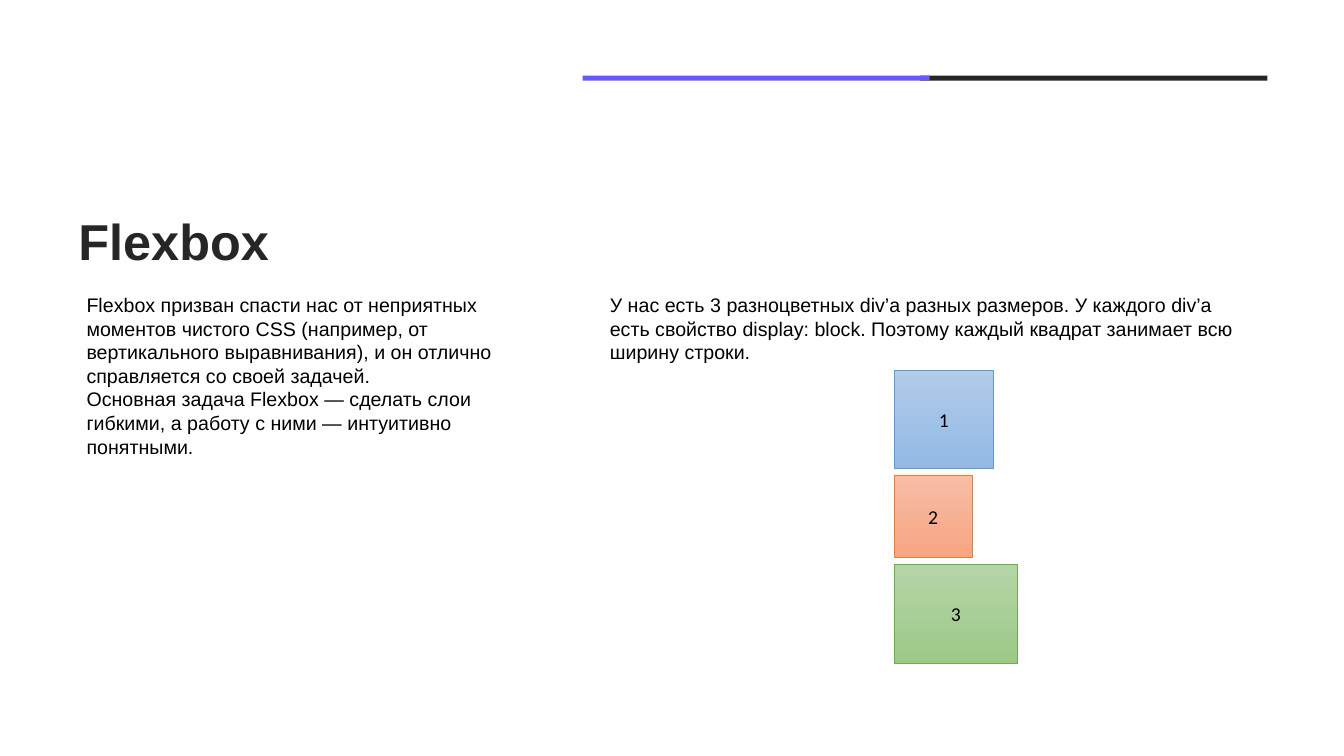
from pptx import Presentation
from pptx.dml.color import RGBColor
from pptx.enum.shapes import MSO_SHAPE
from pptx.enum.text import MSO_ANCHOR, PP_ALIGN
from pptx.util import Inches, Pt

INK = "262626"
VIOLET = "6759FE"
LEFT_TEXT = [
    "Flexbox призван спасти нас от неприятных моментов чистого CSS (например, "
    "от вертикального выравнивания), и он отлично справляется со своей задачей.",
    "Основная задача Flexbox — сделать слои гибкими, а работу с ними — "
    "интуитивно понятными.",
]
RIGHT_TEXT = [
    "У нас есть 3 разноцветных div’а разных размеров. У каждого div’а есть "
    "свойство display: block. Поэтому каждый квадрат занимает всю ширину строки.",
]
# Label, width, height, top colour, bottom colour, outline
SQUARES = [
    ("1", 0.98, 0.98, "B1CBE9", "93B9E4", "5B9BD5"),
    ("2", 0.77, 0.81, "F7BDA5", "F8A582", "ED7D31"),
    ("3", 1.22, 0.98, "B5D5A7", "9CC987", "70AD47"),
]


def color(value):
    return RGBColor.from_string(value)


def write(para, text, font="Arial", size=14, ink="000000", bold=False,
          align=PP_ALIGN.LEFT, spacing=1.0):
    para.alignment = align
    para.line_spacing = spacing
    span = para.add_run()
    span.text = text
    span.font.name = font
    span.font.size = Pt(size)
    span.font.bold = bold
    span.font.color.rgb = color(ink)


class Page:
    def __init__(self, deck):
        self.shapes = deck.slides.add_slide(deck.slide_layouts[6]).shapes

    def text(self, left, top, width, height, lines, anchor=MSO_ANCHOR.TOP, **style):
        box = self.shapes.add_textbox(
            Inches(left), Inches(top), Inches(width), Inches(height))
        frame = box.text_frame
        frame.word_wrap = True
        frame.vertical_anchor = anchor
        for index, line in enumerate(lines):
            para = frame.add_paragraph() if index else frame.paragraphs[0]
            write(para, line, **style)

    def rectangle(self, left, top, width, height):
        box = self.shapes.add_shape(
            MSO_SHAPE.RECTANGLE,
            Inches(left), Inches(top), Inches(width), Inches(height))
        box.shadow.inherit = False
        return box

    def bar(self, left, fill):
        box = self.rectangle(left, 0.75, 3.44, 0.05)
        box.fill.solid()
        box.fill.fore_color.rgb = color(fill)
        box.line.fill.background()

    def square(self, left, top, width, height, label, light, dark, outline):
        box = self.rectangle(left, top, width, height)
        box.fill.gradient()
        box.fill.gradient_angle = 270
        for stop, shade in zip(box.fill.gradient_stops, (light, dark)):
            stop.color.rgb = color(shade)
        box.line.color.rgb = color(outline)
        box.line.width = Pt(0.5)
        box.text_frame.vertical_anchor = MSO_ANCHOR.MIDDLE
        write(box.text_frame.paragraphs[0], label, font="Calibri",
              align=PP_ALIGN.CENTER)


def main():
    deck = Presentation()
    deck.slide_width = Inches(13.33)
    deck.slide_height = Inches(7.5)
    page = Page(deck)

    # Title and two-colour rule
    page.text(0.68, 2.07, 11.89, 0.71, ["Flexbox"], anchor=MSO_ANCHOR.MIDDLE,
              size=36, ink=INK, bold=True, spacing=0.9)
    page.bar(9.13, INK)
    page.bar(5.78, VIOLET)

    # Text columns
    page.text(0.76, 2.86, 4.48, 1.75, LEFT_TEXT)
    page.text(5.95, 2.86, 6.61, 0.81, RIGHT_TEXT)

    # Stack of squares
    top = 3.67
    for label, width, height, light, dark, outline in SQUARES:
        page.square(8.87, top, width, height, label, light, dark, outline)
        top += height + 0.07

    deck.save("out.pptx")


if __name__ == "__main__":
    main()
